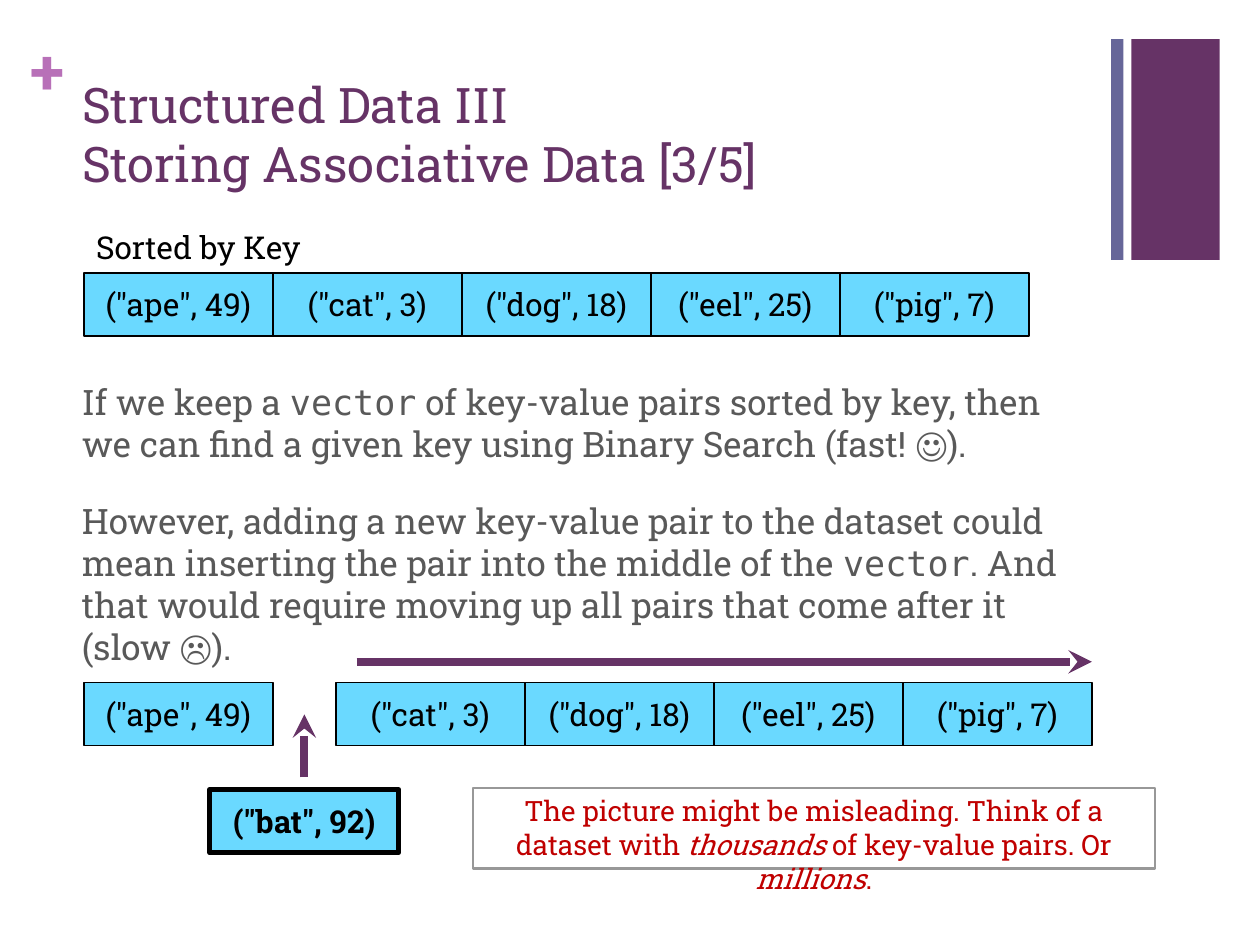
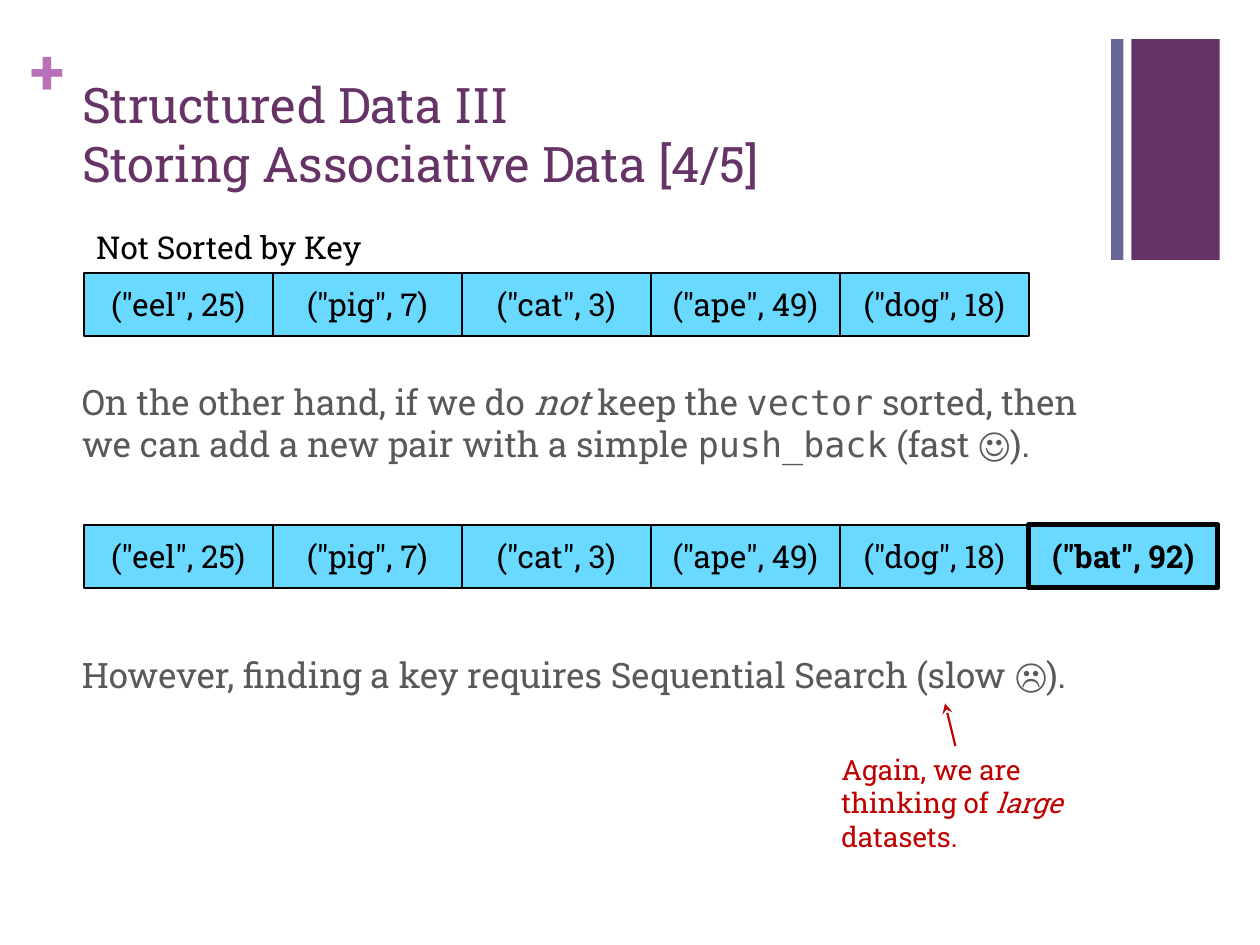
import pptx
import pptx.util
import pptx.dml.color
import pptx.enum.shapes
import pptx.enum.text
import pptx.oxml
import pptx.oxml.ns
from pptx.util import Cm

HUES = {
    "plum": "663366", "slate": "666699", "orchid": "B870B8",
    "gray": "595959", "cell": "6AD9FF", "black": "000000",
    "red": "C00000", "edge": "989898",
}
SERIF, MONO = "Roboto Slab", "DejaVu Sans Mono"

# Content: rich text is a list of (text, style) pairs.
HEAD = "Structured Data III\vStoring Associative Data [{}/5]"
NEW = '("bat", 92)'
SORTED = ['("ape", 49)', '("cat", 3)', '("dog", 18)', '("eel", 25)', '("pig", 7)']
MIXED = ['("eel", 25)', '("pig", 7)', '("cat", 3)', '("ape", 49)', '("dog", 18)']
KEEP = [
    ("If we keep a ", ""), ("vector", "code"),
    (" of key-value pairs sorted by key, then we can find a given key "
     "using Binary Search (fast! \u263a).", ""),
]
MOVE = [
    ("However, adding a new key-value pair to the dataset could mean "
     "inserting the pair into the middle of the ", ""), ("vector", "code"),
    (". And that would require moving up all pairs that come after it "
     "(slow \u2639).", ""),
]
PUSH = [
    ("On the other hand, if we do ", ""), ("not", "slant"),
    (" keep the ", ""), ("vector", "code"),
    (" sorted, then we can add a new pair with a simple ", ""),
    ("push_back", "code"), (" (fast \u263a).", ""),
]
FIND = [("However, finding a key requires Sequential Search (slow \u2639).", "")]
WARN = [
    ("The picture might be misleading. Think of a dataset with ", ""),
    ("thousands", "slant"), (" of key-value pairs. Or ", ""),
    ("millions", "slant"), (".", ""),
]
AGAIN = [("Again, we are thinking of ", ""), ("large", "slant"), (" datasets.", "")]
PAGES = [
    {"num": 3, "label": "Sorted by Key", "pairs": SORTED,
     "body": [KEEP, MOVE], "gap": 20},
    {"num": 4, "label": "Not Sorted by Key", "pairs": MIXED,
     "body": [PUSH, FIND], "gap": 108},
]

# Layout, in centimetres
LEFT, WIDE, HIGH = 1.69, 3.81, 1.27
TOP = 5.5
TEXT_X, TEXT_W = 1.4, 20.98


def rgb(name):
    """Return the named colour."""
    return pptx.dml.color.RGBColor.from_string(HUES[name])


def style(run, size, hue, bold=False, face=SERIF):
    """Format one run."""
    font = run.font
    font.size, font.name, font.bold = pptx.util.Pt(size), face, bold
    font.color.rgb = rgb(hue)


def write(para, parts, size, hue, bold=False):
    """Fill a paragraph with styled parts."""
    for text, kind in parts:
        run = para.add_run()
        run.text = text
        style(run, size, hue, bold, MONO if kind == "code" else SERIF)
        if kind == "slant":
            run.font.italic = True


def note(slide, box, paras, size, hue, gap=0, bold=False):
    """Add a wrapped text box of one or more paragraphs."""
    shape = slide.shapes.add_textbox(*map(Cm, box))
    frame = shape.text_frame
    frame.word_wrap = True
    for n, parts in enumerate(paras):
        para = frame.add_paragraph() if n else frame.paragraphs[0]
        if n:
            para.space_before = pptx.util.Pt(gap)
        write(para, parts, size, hue, bold)
    return shape


def rect(slide, box, fill=None, edge=None, width=1):
    """Add a flat rectangle, with fill and edge where named."""
    shape = slide.shapes.add_shape(
        pptx.enum.shapes.MSO_SHAPE.RECTANGLE, *map(Cm, box))
    shape.shadow.inherit = False
    if fill:
        shape.fill.solid()
        shape.fill.fore_color.rgb = rgb(fill)
    else:
        shape.fill.background()
    if edge:
        shape.line.color.rgb = rgb(edge)
        shape.line.width = pptx.util.Pt(width)
    else:
        shape.line.fill.background()
    return shape


def center(shape, parts, size, hue, anchor, bold=False):
    """Write centred text in a shape."""
    frame = shape.text_frame
    frame.word_wrap = True
    frame.vertical_anchor = anchor
    para = frame.paragraphs[0]
    para.alignment = pptx.enum.text.PP_ALIGN.CENTER
    write(para, parts, size, hue, bold)


def cell(slide, x, y, pair, fresh=False):
    """Draw one key-value pair; a fresh one is bold."""
    shape = rect(slide, (x, y, WIDE, HIGH), "cell", "black", 3 if fresh else 1)
    center(shape, [(pair, "")], 18, "black",
           pptx.enum.text.MSO_ANCHOR.MIDDLE, fresh)


def row(slide, x, y, pairs):
    """Draw adjoining cells from x and return the right end."""
    for n, pair in enumerate(pairs):
        cell(slide, x + n * WIDE, y, pair)
    return x + len(pairs) * WIDE


def arrow(slide, start, end, hue, width):
    """Draw a line with a stealth head at its end."""
    line = slide.shapes.add_connector(
        pptx.enum.shapes.MSO_CONNECTOR.STRAIGHT, *map(Cm, start + end))
    line.line.color.rgb = rgb(hue)
    line.line.width = pptx.util.Pt(width)
    props = line.element.spPr
    ns = pptx.oxml.ns.nsdecls("a")
    props.find(pptx.oxml.ns.qn("a:ln")).append(
        pptx.oxml.parse_xml(f'<a:tailEnd {ns} type="stealth"/>'))
    props.append(pptx.oxml.parse_xml(f"<a:effectLst {ns}/>"))


def decor(slide, layout):
    """Build the bands and plus sign, then move them to the layout."""
    band = rect(slide, (22.81, 0.79, 1.78, 4.45), "plum")
    plus = note(slide, (0.61, 0.64, 0.74, 1.55), [[("+", "")]], 36,
                "orchid", bold=True)
    frame = plus.text_frame
    frame.word_wrap = False
    frame.margin_left = frame.margin_right = 0
    frame.margin_top = frame.margin_bottom = 0
    strip = rect(slide, (22.4, 0.79, 0.25, 4.45), "slate")
    for n, shape in enumerate((band, plus, strip)):
        shape.element.nvSpPr.cNvPr.set("id", str(20 + n))
        layout.shapes.element.append(shape.element)


def head(slide, num):
    """Place and format the title."""
    title = slide.shapes.title
    title.left, title.top = Cm(TEXT_X), Cm(1.35)
    title.width, title.height = Cm(TEXT_W), Cm(2.67)
    frame = title.text_frame
    frame.text = HEAD.format(num)
    frame.word_wrap = True
    frame.auto_size = pptx.enum.text.MSO_AUTO_SIZE.NONE
    frame.vertical_anchor = pptx.enum.text.MSO_ANCHOR.MIDDLE
    para = frame.paragraphs[0]
    para.alignment = pptx.enum.text.PP_ALIGN.LEFT
    for run in para.runs:
        style(run, 28, "plum")


def page(slide, data):
    """Draw the parts found on every slide."""
    head(slide, data["num"])
    note(slide, (TEXT_X, 7.54, TEXT_W, 10.03), data["body"], 20, "gray",
         data["gap"])
    row(slide, LEFT, TOP, data["pairs"])
    note(slide, (LEFT, 4.47, 7.62, 1.02), [[(data["label"], "")]], 18, "black")


def insert(slide):
    """Show a pair going into the middle of the sorted row."""
    y = 13.76
    hole = row(slide, LEFT, y, SORTED[:1])
    end = row(slide, hole + HIGH, y, SORTED[1:])
    mid = hole + HIGH / 2
    cell(slide, mid - WIDE / 2, 15.92, NEW, True)
    arrow(slide, (7.19, 13.34), (end, 13.34), "plum", 4.5)
    arrow(slide, (mid, 15.67), (mid, 14.4), "plum", 4.5)
    box = rect(slide, (9.53, 15.88, 13.76, 1.63), edge="edge", width=1.25)
    center(box, WARN, 16, "red", pptx.enum.text.MSO_ANCHOR.TOP)


def append(slide):
    """Show a pair added at the end of the unsorted row."""
    y = 10.58
    cell(slide, row(slide, LEFT, y, MIXED), y, NEW, True)
    arrow(slide, (19.26, 15.04), (19.05, 14.18), "red", 1.25)
    note(slide, (16.71, 15.04, 6.35, 1.63), [AGAIN], 16, "red")


def main():
    """Build and save the deck."""
    deck = pptx.Presentation()
    deck.slide_width, deck.slide_height = Cm(25.4), Cm(19.05)
    layout = deck.slide_layouts[5]
    # The title's line break takes its size from the master.
    for font in deck.slide_master.element.xpath(
            ".//p:titleStyle/a:lvl1pPr/a:defRPr"):
        font.set("sz", "2800")
    slides = [deck.slides.add_slide(layout) for _ in PAGES]
    decor(slides[0], layout)
    for slide, data, extra in zip(slides, PAGES, (insert, append)):
        page(slide, data)
        extra(slide)
    deck.save("out.pptx")


main()
